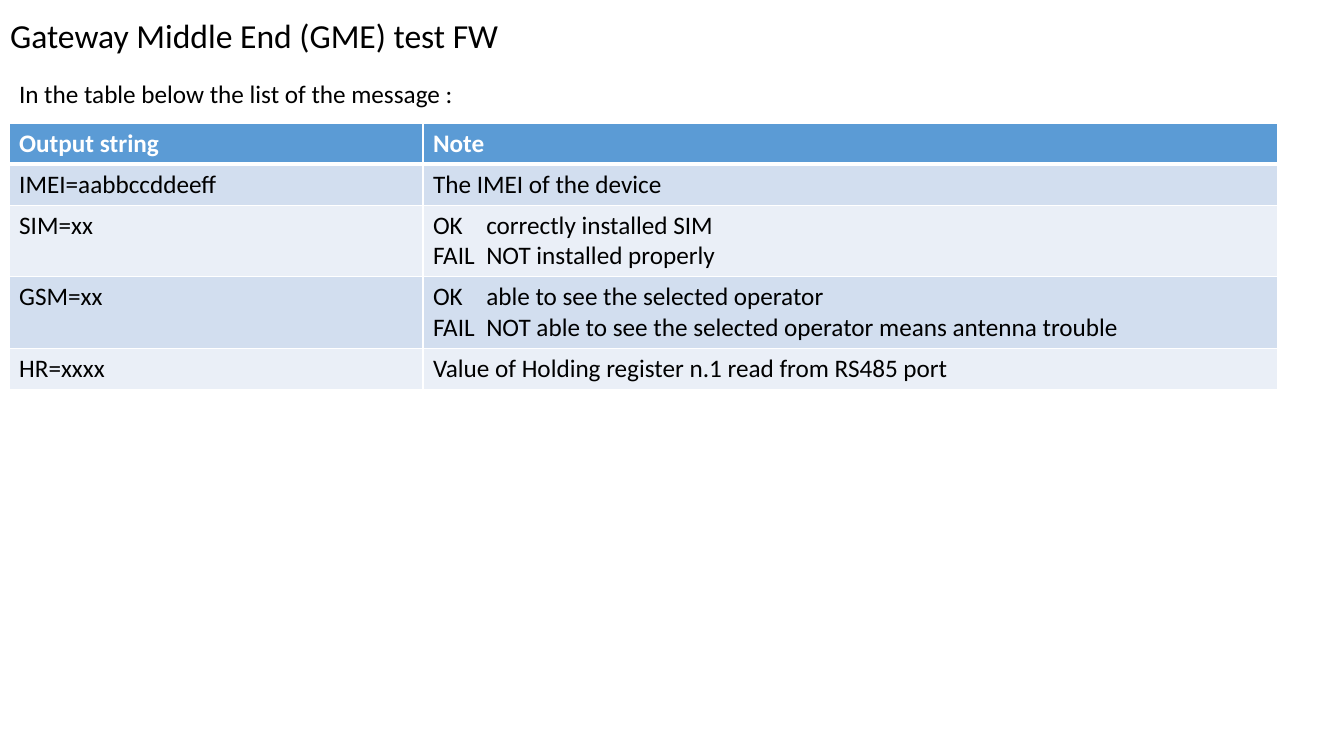
from dataclasses import dataclass

from lxml import etree
from pptx import Presentation
from pptx.dml.color import RGBColor
from pptx.enum.text import MSO_ANCHOR, MSO_AUTO_SIZE, PP_ALIGN
from pptx.oxml.ns import qn
from pptx.util import Cm, Pt

LEFT = PP_ALIGN.LEFT
TOP = MSO_ANCHOR.TOP
NO_FIT = MSO_AUTO_SIZE.NONE


@dataclass(frozen=True)
class Theme:
    font: str = "Calibri"
    title_size: int = 24
    body_size: int = 18
    text: str = "000000"
    header_text: str = "FFFFFF"
    header_fill: str = "5B9BD5"
    bands: tuple = ("D2DEEF", "EAEFF7")
    rule: str = "FFFFFF"
    rule_width: int = 1
    header_rule_width: int = 3


THEME = Theme()

TITLE = "Gateway Middle End (GME) test FW"
INTRO = "In the table below the list of the message :"
HEADER = ("Output string", ["Note"])
MESSAGES = [
    ("IMEI=aabbccddeeff", ["The IMEI of the device"]),
    ("SIM=xx", ["OK\tcorrectly installed SIM",
                "FAIL\tNOT installed properly"]),
    ("GSM=xx", ["OK\table to see the selected operator",
                "FAIL\tNOT able to see the selected operator means antenna trouble"]),
    ("HR=xxxx", ["Value of Holding register n.1 read from RS485 port"]),
]

TABLE_LEFT, TABLE_TOP = Cm(0.23), Cm(3.11)
COLUMN_WIDTHS = (Cm(10.43), Cm(21.54))
ROW_HEIGHT, EXTRA_LINE = Cm(1.03), Cm(0.76)
STATUS_TAB = Cm(1.34)


def write(frame, lines, size=THEME.body_size, color=THEME.text, bold=False):
    for index, line in enumerate(lines):
        paragraph = frame.paragraphs[0] if index == 0 else frame.add_paragraph()
        paragraph.alignment = LEFT
        if "\t" in line:
            tabs = etree.SubElement(paragraph._p.get_or_add_pPr(), qn("a:tabLst"))
            etree.SubElement(tabs, qn("a:tab"), pos=str(STATUS_TAB), algn="l")
        run = paragraph.add_run()
        run.text = line
        run.font.name = THEME.font
        run.font.size = Pt(size)
        run.font.bold = bold
        run.font.color.rgb = RGBColor.from_string(color)


def place(shape, left, top, width, height):
    shape.left, shape.top, shape.width, shape.height = left, top, width, height
    frame = shape.text_frame
    frame.word_wrap = True
    frame.auto_size = NO_FIT
    frame.vertical_anchor = TOP
    return frame


def add_borders(cell, top_width, bottom_width):
    side = THEME.rule_width
    widths = {"a:lnL": side, "a:lnR": side, "a:lnT": top_width, "a:lnB": bottom_width}
    for tag, width in widths.items():
        line = etree.SubElement(cell._tc.get_or_add_tcPr(), qn(tag), w=str(Pt(width)))
        fill = etree.SubElement(line, qn("a:solidFill"))
        etree.SubElement(fill, qn("a:srgbClr"), val=THEME.rule)


presentation = Presentation()
presentation.slide_width, presentation.slide_height = Cm(33.87), Cm(19.05)
slide = presentation.slides.add_slide(presentation.slide_layouts[5])

title = place(slide.shapes.title, Cm(0), Cm(0.25), Cm(32.8), Cm(1.27))
write(title, [TITLE], THEME.title_size)

intro_box = slide.shapes.add_textbox(0, 0, 0, 0)
intro = place(intro_box, TABLE_LEFT, Cm(1.86), Cm(33.15), Cm(1.03))
write(intro, [INTRO])

rows = [HEADER] + MESSAGES
heights = [ROW_HEIGHT + EXTRA_LINE * (len(notes) - 1) for _, notes in rows]
message_table = slide.shapes.add_table(
    len(rows), len(COLUMN_WIDTHS), TABLE_LEFT, TABLE_TOP,
    sum(COLUMN_WIDTHS), sum(heights)).table
message_table.horz_banding = False
for column, width in zip(message_table.columns, COLUMN_WIDTHS):
    column.width = width

for row_index, (output, notes) in enumerate(rows):
    message_table.rows[row_index].height = heights[row_index]
    is_header = row_index == 0
    band = THEME.header_fill if is_header else THEME.bands[(row_index - 1) % 2]
    color = THEME.header_text if is_header else THEME.text
    top_width = THEME.header_rule_width if row_index == 1 else THEME.rule_width
    bottom_width = THEME.header_rule_width if is_header else THEME.rule_width
    for column_index, lines in enumerate(([output], notes)):
        cell = message_table.cell(row_index, column_index)
        add_borders(cell, top_width, bottom_width)
        cell.fill.solid()
        cell.fill.fore_color.rgb = RGBColor.from_string(band)
        write(cell.text_frame, lines, color=color, bold=is_header)

presentation.save("out.pptx")
